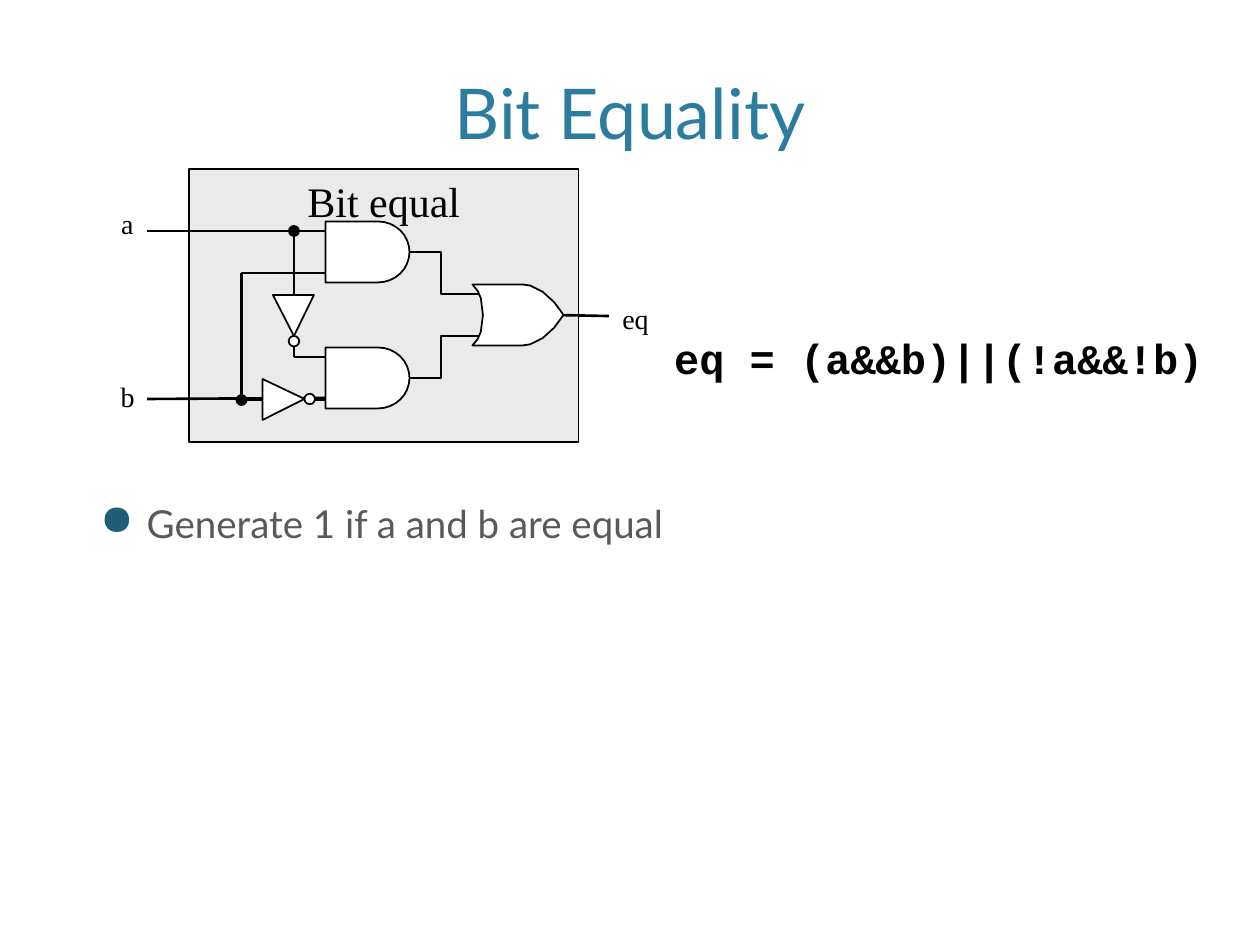
from math import cos, pi, sin

from lxml.etree import SubElement as Sub
from pptx import Presentation
from pptx.dml.color import RGBColor as RGB
from pptx.enum.shapes import MSO_CONNECTOR as Link, MSO_SHAPE as Kind
from pptx.enum.text import MSO_ANCHOR as Anchor, PP_ALIGN as Align
from pptx.oxml.ns import qn
from pptx.util import Inches, Pt

HUE = {"title": "2C7C9F", "body": "595959", "dot": "215D77",
       "panel": "EAEAEA", "ink": "000000", "gate": "FFFFFF"}
SERIF = "Times New Roman"

deck = Presentation()
deck.slide_width, deck.slide_height = Inches(10), Inches(7.5)
page = deck.slides.add_slide(deck.slide_layouts[6])
parts = page.shapes
U = deck.slide_width / 120  # grid of 120 columns by 90 rows


def write(shape, text, size, font, hue, align=Align.LEFT, wrap=True):
    frame = shape.text_frame
    frame.word_wrap = wrap
    frame.vertical_anchor = Anchor.TOP
    frame.text = text
    para = frame.paragraphs[0]
    para.alignment = align
    run = para.runs[0].font
    run.size, run.name = Pt(size), font
    run.color.rgb = RGB.from_string(HUE[hue])
    return frame


def style(shape, fill, width):
    shape.shadow.inherit = False
    if fill:
        shape.fill.solid()
        shape.fill.fore_color.rgb = RGB.from_string(HUE[fill])
    else:
        shape.fill.background()
    shape.line.color.rgb = RGB.from_string(HUE["ink"])
    shape.line.width = Pt(width)
    return shape


# Title
box = parts.add_textbox(*[int(n * U) for n in (7.2, 1.4, 105.6, 13.8)])
frame = write(box, "Bit Equality", 40, "Lato", "title", Align.CENTER)
frame.vertical_anchor = Anchor.BOTTOM

# Bullet
box = parts.add_textbox(*[int(n * U) for n in (3.8, 47, 109, 37.5)])
frame = write(box, "Generate 1 if a and b are equal", 22, "Lato", "body")
props = frame.paragraphs[0]._p.get_or_add_pPr()
props.set("marL", str(Inches(0.75)))
props.set("indent", str(Inches(-0.37)))
Sub(Sub(props, qn("a:buClr")), qn("a:srgbClr")).set("val", HUE["dot"])
Sub(props, qn("a:buSzPct")).set("val", "110000")
Sub(props, qn("a:buChar")).set("char", "●")

# Circuit panel
panel = parts.add_shape(Kind.RECTANGLE, *[int(n * U) for n in (18, 16.1, 37.1, 26)])
style(panel, "panel", 0.75)
write(panel, "Bit equal", 24, SERIF, "ink", Align.CENTER, False)

# Straight wires
wires = [
    (14, 22, 31, 22),      # a to upper AND
    (14, 38, 31, 37.9),    # b to lower AND
    (23, 38, 23, 26),      # b up
    (23, 26, 31, 26),      # b to upper AND
    (23, 38.1, 25, 38.1),  # b into inverter
    (29, 38.1, 31, 38.1),  # inverter to lower AND
    (28, 22, 28, 28),      # a down to inverter
    (28, 32, 28, 34),      # inverter down
    (28, 34, 31, 34),      # inverter to lower AND
    (53, 30, 58, 30.1),    # output
]
for ends in wires:
    wire = parts.add_connector(Link.STRAIGHT, *[int(n * U) for n in ends])
    wire.line.color.rgb = RGB.from_string(HUE["ink"])
    wire.line.width = Pt(1.5)
    Sub(wire._element.spPr, qn("a:effectLst"))

# Outlines: an AND gate ends in a half ellipse, an OR gate mirrors its top
bow = [(36 + 3 * sin(pi * i / 16), -2.9 * cos(pi * i / 16)) for i in range(17)]
ands = [[(31, mid - 2.9)] + [(x, mid + y) for x, y in bow] + [(31, mid + 2.9)]
        for mid in (24, 36)]
back = [(46, 30), (45.9, 29.2), (45.8, 28.4), (45.5, 27.7)]
nose = [(45, 27.1), (49, 27.1), (49.8, 27.1), (50.5, 27.2), (51.1, 27.5),
        (51.7, 27.8), (52.8, 28.8), (53.6, 29.9)]
top = back + nose
org = top + [(x, 60 - y) for x, y in top[::-1]]
nots = [[(26, 28.1), (29.9, 28.1), (28, 32)], [(25, 36.1), (25, 40), (29, 38)]]
bends = [[(39, y), (42, y), (42, turn), (46, turn)]
         for y, turn in ((24, 28), (36, 32))]

# Bent wires and gates
paths = [(bend, None, 1.5) for bend in bends]
paths += [(gate, "gate", 1) for gate in [*ands, org, *nots]]
for pts, fill, width in paths:
    spots = [(x * U, y * U) for x, y in pts]
    pen = parts.build_freeform(*spots[0], scale=1.0)
    pen.add_line_segments(spots[1:], close=bool(fill))
    style(pen.convert_to_shape(), fill, width)

# Inverter bubbles and wire joints
rings = [(28, 32.5, "gate", 1), (29.5, 38, "gate", 1),
         (28, 22, "ink", 0.75), (23, 38.1, "ink", 0.75)]
for x, y, fill, width in rings:
    ring = parts.add_shape(Kind.OVAL, int((x - 0.5) * U), int((y - 0.5) * U),
                           int(U), int(U))
    style(ring, fill, width)

# Pin labels
pins = [("a", 10.3, 19.1, 3.6, Align.RIGHT), ("b", 10.1, 35.6, 3.9, Align.RIGHT),
        ("eq", 58.1, 28.1, 7.9, Align.LEFT)]
for text, x, y, wide, side in pins:
    box = parts.add_textbox(*[int(n * U) for n in (x, y, wide, 4.5)])
    write(box, text, 16, SERIF, "ink", side, text == "eq")

# Formula
box = parts.add_textbox(*[int(n * U) for n in (63.6, 31.1, 52.1, 6.1)])
frame = write(box, "eq = (a&&b)||(!a&&!b)", 24, "Courier New", "ink", wrap=False)
frame.margin_left = frame.margin_right = Inches(0.05)
frame.paragraphs[0].runs[0].font.bold = True

deck.save("out.pptx")
